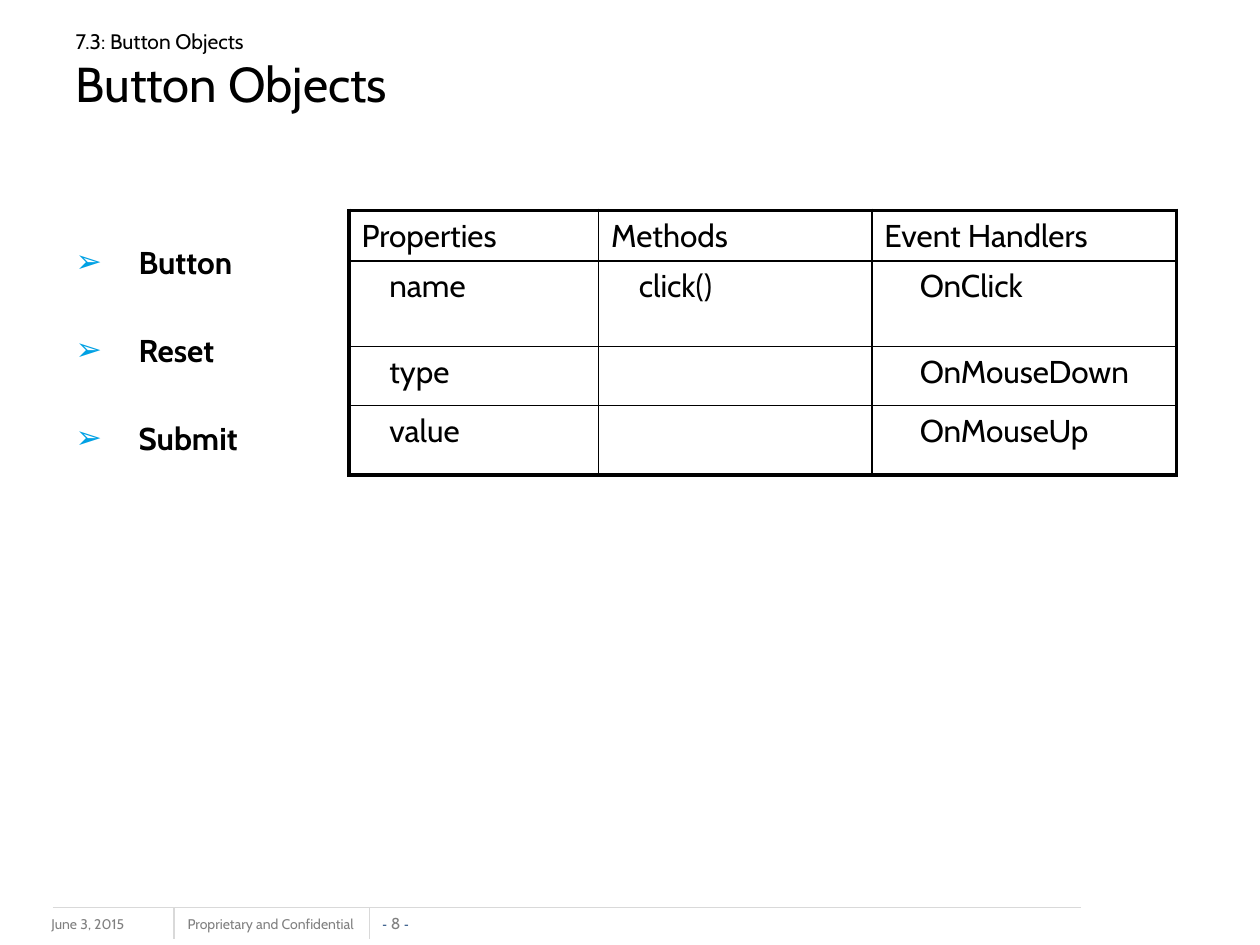
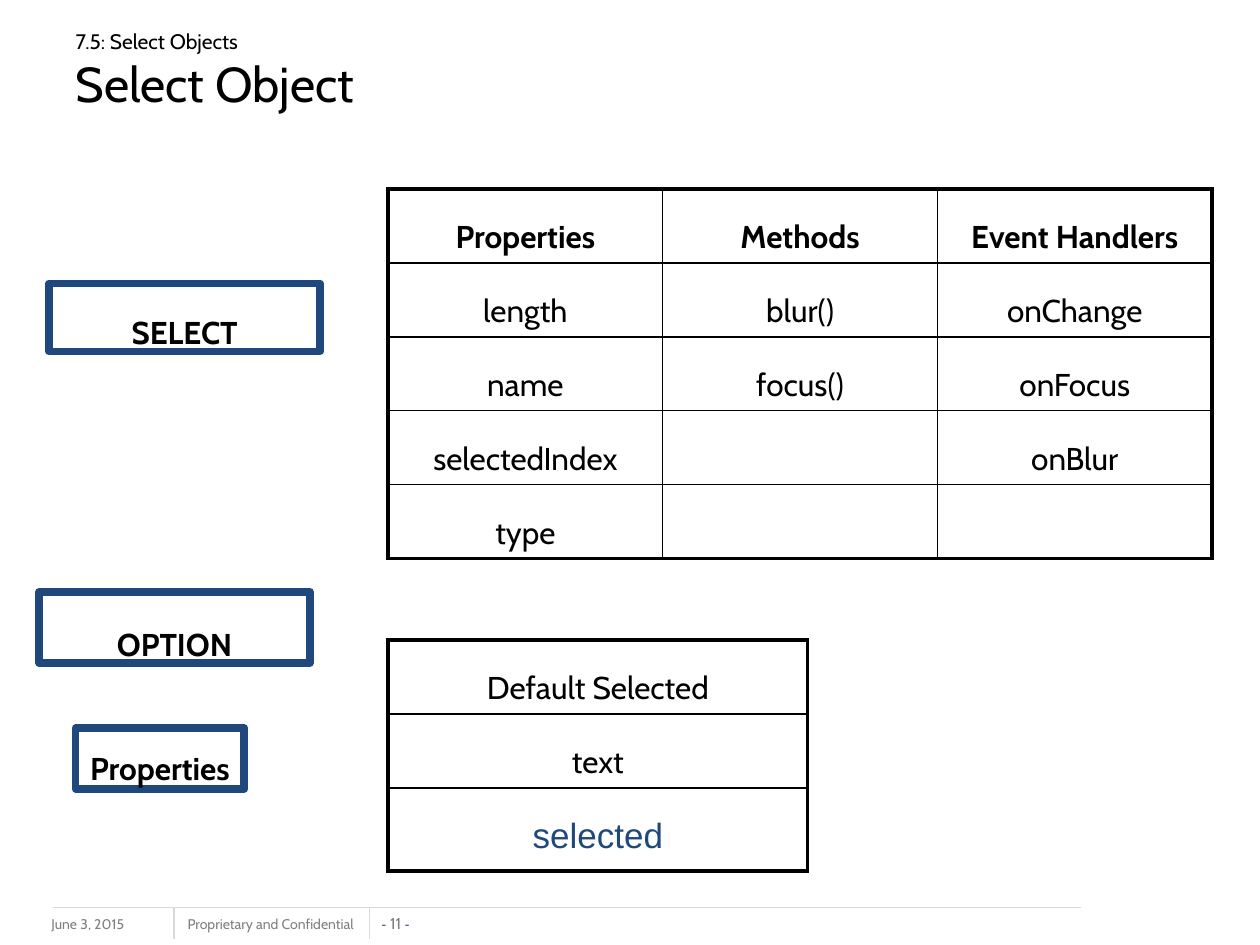
from dataclasses import dataclass

from lxml.etree import SubElement
from pptx import Presentation
from pptx.dml.color import RGBColor
from pptx.enum.shapes import MSO_CONNECTOR, MSO_SHAPE
from pptx.enum.text import MSO_ANCHOR, MSO_AUTO_SIZE, PP_ALIGN
from pptx.oxml import parse_xml
from pptx.oxml.ns import nsdecls, qn
from pptx.util import Inches, Pt


@dataclass(frozen=True)
class Theme:
    black: str = "000000"
    navy: str = "1F497D"
    sky: str = "00A1E4"
    grey: str = "808080"
    rule: str = "D9D9D9"
    font: str = "Cabin"
    accent_font: str = "Arial"
    title_size: int = 28
    section_size: int = 12
    text_size: int = 18
    accent_size: int = 20
    footer_size: int = 8
    page_size: int = 9
    outer_border: float = 2.25
    inner_border: float = 1
    row_pitch: int = 35


@dataclass(frozen=True)
class Box:
    left: float
    top: float
    width: float
    height: float

    def inches(self):
        return [Inches(v) for v in (self.left, self.top, self.width, self.height)]

    def inset(self, dx, dy, width, height):
        return Box(self.left + dx, self.top + dy, width, height)


THEME = Theme()
TITLE_BOX = Box(0.5, 0.17, 9, 0.78)
FOOTER_BOX = Box(0.42, 7.2, 8.16, 0.25)
TITLE_AND_CONTENT, TITLE_ONLY = 1, 5


def style_run(run, size=THEME.text_size, color=THEME.black, font=THEME.font, bold=False):
    run.font.size = Pt(size)
    run.font.name = font
    run.font.bold = bold
    run.font.color.rgb = RGBColor.from_string(color)


def move(shape, box):
    shape.left, shape.top, shape.width, shape.height = box.inches()


def add_title(slide, box, section, heading):
    title = slide.shapes.title
    move(title, box)
    frame = title.text_frame
    frame.text = f"{section}\v{heading}"
    frame.auto_size = MSO_AUTO_SIZE.NONE
    frame.vertical_anchor = MSO_ANCHOR.MIDDLE
    line = frame.paragraphs[0]
    line.alignment = PP_ALIGN.LEFT
    for run, size in zip(line.runs, (THEME.section_size, THEME.title_size)):
        style_run(run, size)


def add_rule(slide, x1, y1, x2, y2):
    rule = slide.shapes.add_connector(
        MSO_CONNECTOR.STRAIGHT, Inches(x1), Inches(y1), Inches(x2), Inches(y2))
    rule.line.color.rgb = RGBColor.from_string(THEME.rule)
    rule.line.width = Pt(0.75)
    SubElement(rule._element.spPr, qn("a:effectLst"))


def add_footer_text(slide, box, text, wrap):
    frame = slide.shapes.add_textbox(*box.inches()).text_frame
    frame.word_wrap = wrap
    frame.text = text
    style_run(frame.paragraphs[0].runs[0], THEME.footer_size, THEME.grey)


def add_page_number(slide, box, number):
    frame = slide.shapes.add_textbox(*box.inches()).text_frame
    frame.margin_left = frame.margin_right = frame.margin_top = frame.margin_bottom = 0
    frame.word_wrap = False
    frame.vertical_anchor = MSO_ANCHOR.BOTTOM
    line = frame.paragraphs[0]
    line.alignment = PP_ALIGN.CENTER
    dash = (THEME.footer_size, THEME.navy, THEME.accent_font)
    digits = (THEME.page_size, THEME.grey, THEME.font)
    for text, look in (("- ", dash), (f"{number} ", digits), ("-", dash)):
        run = line.add_run()
        run.text = text
        style_run(run, *look)


def add_footer(slide, box, number):
    add_footer_text(slide, box.inset(-0.11, 0.02, 1.33, 0.25), "June 3, 2015", True)
    add_footer_text(slide, box.inset(0.97, 0.02, 1.57, 0.24),
                    "Proprietary and Confidential", False)
    add_page_number(slide, box.inset(2.59, 0.05, 0.26, 0.15), number)
    add_rule(slide, box.left, box.top, box.left + box.width, box.top)
    for dx in (0.96, 2.51):
        x = box.left + dx
        add_rule(slide, x, box.top, x, box.top + box.height)


def add_arrow_list(slide, box, items):
    body = slide.placeholders[1]
    move(body, box)
    frame = body.text_frame
    frame.text = "\n".join(items)
    frame.auto_size = MSO_AUTO_SIZE.NONE
    frame.vertical_anchor = MSO_ANCHOR.TOP
    frame.margin_top = Inches(0.43)
    for index, item in enumerate(frame.paragraphs):
        item.space_before = Pt(28.6 if index else 0)
        properties = item._p.get_or_add_pPr()
        properties.set("marL", str(Inches(0.5)))
        properties.set("indent", str(-Inches(0.5)))
        color = SubElement(properties, qn("a:buClr"))
        SubElement(color, qn("a:srgbClr"), val=THEME.sky)
        SubElement(properties, qn("a:buChar"), char="➢")
        style_run(item.runs[0], bold=True)


def set_borders(cell, widths):
    properties = cell._tc.get_or_add_tcPr()
    for side, width in zip("LRTB", widths):
        properties.append(parse_xml(
            f'<a:ln{side} {nsdecls("a")} w="{Pt(width)}"><a:solidFill>'
            f'<a:srgbClr val="{THEME.black}"/></a:solidFill></a:ln{side}>'))


def add_grid(slide, box, rows, widths, heights):
    grid = slide.shapes.add_table(len(rows), len(widths), *box.inches()).table
    grid.first_row = grid.horz_banding = False
    for column, width in zip(grid.columns, widths):
        column.width = Inches(width)
    for row, height in zip(grid.rows, heights):
        row.height = Inches(height)
    last_row, last_column = len(rows) - 1, len(widths) - 1
    for r, texts in enumerate(rows):
        for c, text in enumerate(texts):
            cell = grid.cell(r, c)
            edges = (c == 0, c == last_column, r == 0, r == last_row)
            set_borders(cell, [THEME.outer_border if edge else THEME.inner_border
                               for edge in edges])
            cell.fill.background()
            cell.text = text
            for run in cell.text_frame.paragraphs[0].runs:
                style_run(run)
    return grid


def center_cells(grid):
    for cell in grid.iter_cells():
        line = cell.text_frame.paragraphs[0]
        line.alignment = PP_ALIGN.CENTER
        if line.runs:
            line.line_spacing = Pt(THEME.row_pitch)


def add_tag(slide, box, text, spacing, wrap=True):
    tag = slide.shapes.add_shape(MSO_SHAPE.RECTANGLE, *box.inches())
    tag.shadow.inherit = False
    tag.fill.background()
    tag.line.color.rgb = RGBColor.from_string(THEME.navy)
    tag.line.width = Pt(4.5)
    frame = tag.text_frame
    frame.text = text
    frame.word_wrap = wrap
    frame.vertical_anchor = MSO_ANCHOR.TOP
    label = frame.paragraphs[0]
    label.alignment = PP_ALIGN.CENTER
    label.line_spacing = Pt(spacing)
    style_run(label.runs[0], bold=True)


def start_slide(deck, layout, section, heading, number):
    slide = deck.slides.add_slide(deck.slide_layouts[layout])
    add_footer(slide, FOOTER_BOX, number)
    add_title(slide, TITLE_BOX, section, heading)
    return slide


def add_button_slide(deck):
    slide = start_slide(deck, TITLE_AND_CONTENT, "7.3: Button Objects", "Button Objects", 8)
    add_arrow_list(slide, Box(0.5, 1.5, 9.31, 4.87), ("Button", "Reset", "Submit"))
    members = (
        ("Properties", "Methods", "Event Handlers"),
        ("name", "click()", "OnClick"),
        ("type", "", "OnMouseDown"),
        ("value", "", "OnMouseUp"),
    )
    grid = add_grid(slide, Box(2.77, 1.67, 6.57, 2.1), members,
                    (1.98, 2.17, 2.42), (0.4, 0.68, 0.47, 0.55))
    for r in range(1, len(members)):
        for c, indent in enumerate((0.32, 0.32, 0.38)):
            grid.cell(r, c).margin_left = Inches(indent)


def add_select_slide(deck):
    slide = start_slide(deck, TITLE_ONLY, "7.5: Select Objects", "Select Object", 11)
    members = (
        ("Properties", "Methods", "Event Handlers"),
        ("length", "blur()", "onChange"),
        ("name", "focus()", "onFocus"),
        ("selectedIndex", "", "onBlur"),
        ("type", "", ""),
    )
    select_box = Box(3.08, 1.5, 6.54, 2.93)
    row_height = select_box.height / len(members)
    select_grid = add_grid(slide, select_box, members,
                           [select_box.width / 3] * 3, [row_height] * len(members))
    center_cells(select_grid)
    for c in range(3):
        select_grid.cell(0, c).text_frame.paragraphs[0].runs[0].font.bold = True

    option_box = Box(3.08, 5.08, 3.33, 1.84)
    option_grid = add_grid(slide, option_box, (("Default Selected",), ("text",), ("selected",)),
                           [option_box.width], (row_height, row_height, 0.66))
    center_cells(option_grid)
    selected = option_grid.cell(2, 0).text_frame.paragraphs[0].runs[0]
    style_run(selected, THEME.accent_size, THEME.navy, THEME.accent_font)

    add_tag(slide, Box(0.39, 2.25, 2.15, 0.54), "SELECT", 35)
    add_tag(slide, Box(0.31, 4.7, 2.15, 0.56), "OPTION", 37)
    add_tag(slide, Box(0.6, 5.78, 1.34, 0.48), "Properties", 30, wrap=False)


def main():
    deck = Presentation()
    deck.slide_width, deck.slide_height = Inches(10), Inches(7.5)
    add_button_slide(deck)
    add_select_slide(deck)
    deck.save("out.pptx")


if __name__ == "__main__":
    main()
